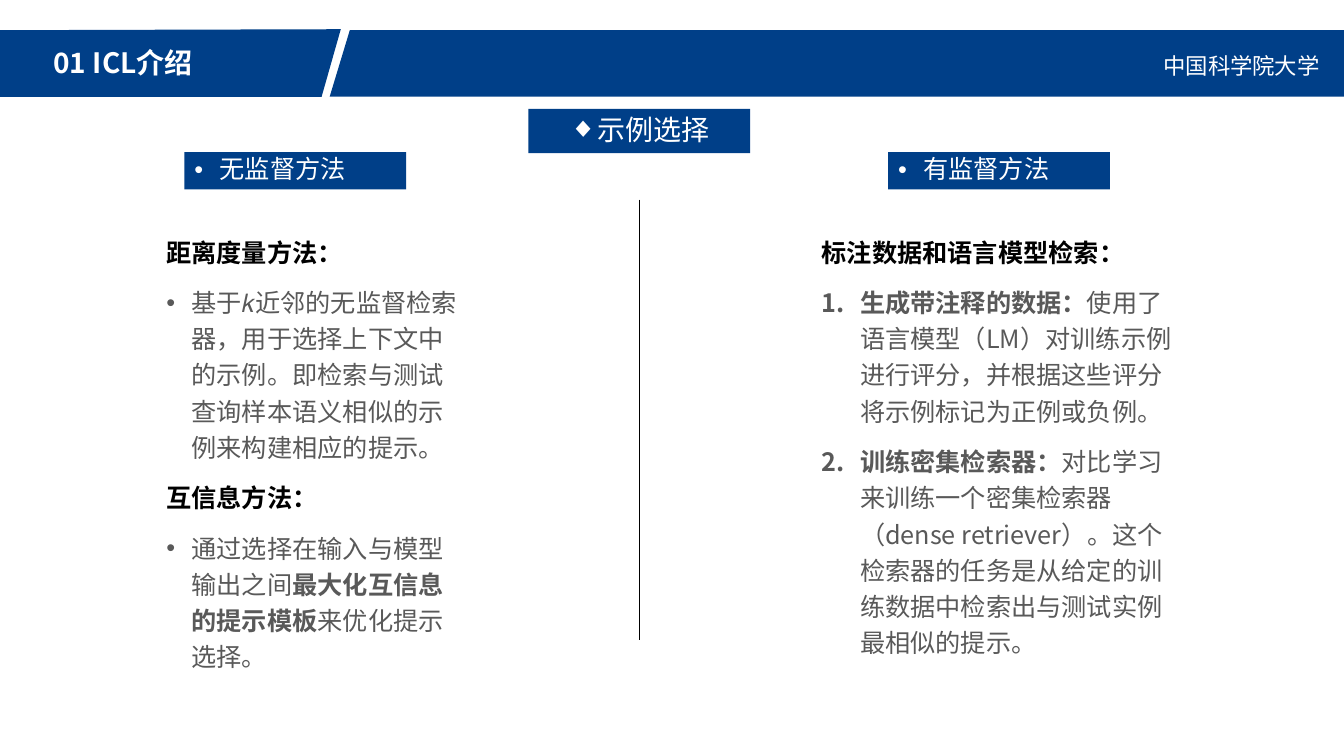
from lxml.etree import SubElement
from pptx import Presentation
from pptx.dml.color import RGBColor
from pptx.enum.shapes import MSO_CONNECTOR, MSO_SHAPE
from pptx.enum.text import MSO_ANCHOR, MSO_AUTO_SIZE, PP_ALIGN
from pptx.oxml.ns import qn
from pptx.util import Pt

PX = 9144  # one hundredth of an inch
FONT = "Noto Sans CJK SC"
BLUE, WHITE, BLACK, GREY = "003F88", "FFFFFF", "000000", "595959"


def color(value):
    return RGBColor.from_string(value)


def write(paragraph, runs, size, text_color, bullet=None, indent=0, line=1.0, before=0):
    """Fill a paragraph with (text, bold) runs; bullet "1." means numbering."""
    properties = paragraph._p.get_or_add_pPr()
    properties.set("marL", str(indent * PX))
    properties.set("indent", str(-indent * PX))
    paragraph.line_spacing = line
    paragraph.space_before = Pt(before)
    if bullet is None:
        SubElement(properties, qn("a:buNone"))
    elif bullet == "1.":
        SubElement(properties, qn("a:buAutoNum"), type="arabicPeriod")
    else:
        SubElement(properties, qn("a:buFont"), typeface="Arial")
        SubElement(properties, qn("a:buChar"), char=bullet)
    font = paragraph.font
    font.name, font.size = FONT, Pt(size)
    font.color.rgb = color(text_color)
    for text, bold in runs:
        run = paragraph.add_run()
        run.text = text
        run.font.bold = bold
        SubElement(run._r.get_or_add_rPr(), qn("a:ea"), typeface=FONT)


presentation = Presentation()
presentation.slide_width, presentation.slide_height = 1333 * PX, 750 * PX
slide = presentation.slides.add_slide(presentation.slide_layouts[3])
shapes = slide.shapes
title, left_body, right_body = slide.placeholders

# Header bands, behind the title
bands = [
    [(0, 30), (338, 29), (319, 96), (0, 96)],
    [(1333, 96), (327, 96), (347, 30), (1333, 30)],
]
for points in bands:
    builder = shapes.build_freeform(*points[0], scale=PX)
    builder.add_line_segments(points[1:], close=True)
    band = builder.convert_to_shape()
    band.fill.solid()
    band.fill.fore_color.rgb = color(BLUE)
    band.line.fill.background()
    band.shadow.inherit = False
    shapes.element.insert(2, band.element)

# Header texts
university = shapes.add_textbox(0, 0, PX, PX)
headers = [
    (title, (43, 40, 284, 44), "01 ICL介绍", 20, True),
    (university, (1144, 47, 188, 37), "中国科学院大学", 16, False),
]
for shape, box, text, size, bold in headers:
    shape.left, shape.top, shape.width, shape.height = [value * PX for value in box]
    frame = shape.text_frame
    frame.word_wrap = True
    frame.auto_size = MSO_AUTO_SIZE.NONE
    frame.vertical_anchor = MSO_ANCHOR.TOP
    paragraph = frame.paragraphs[0]
    paragraph.alignment = PP_ALIGN.LEFT
    write(paragraph, [(text, bold)], size, WHITE)

# Divider
divider = shapes.add_connector(MSO_CONNECTOR.STRAIGHT, 634 * PX, 198 * PX, 634 * PX, 635 * PX)
divider.line.color.rgb = color(BLACK)
divider.line.width = Pt(1)
SubElement(divider.element.spPr, qn("a:effectLst"))

# Section labels
labels = [
    (524, 108, 44, "◆", "示例选择", 20, PP_ALIGN.CENTER),
    (183, 151, 37, "•", "无监督方法", 18, PP_ALIGN.LEFT),
    (881, 151, 37, "•", "有监督方法", 18, PP_ALIGN.LEFT),
]
for left, top, height, bullet, text, size, alignment in labels:
    label = shapes.add_shape(MSO_SHAPE.RECTANGLE, left * PX, top * PX, 220 * PX, height * PX)
    label.fill.solid()
    label.fill.fore_color.rgb = color(BLUE)
    label.line.fill.background()
    label.shadow.inherit = False
    label.text_frame.vertical_anchor = MSO_ANCHOR.MIDDLE
    paragraph = label.text_frame.paragraphs[0]
    paragraph.alignment = alignment
    write(paragraph, [(text, False)], size, WHITE, bullet, 25, 0.9)

# Method columns: each paragraph is a bullet and its runs
unsupervised = [
    (None, [("距离度量方法：", True)]),
    ("•", [("基于𝑘近邻的无监督检索器，用于选择上下文中的示例。即检索与测试查询样本语义相似的示例来构建相应的提示。", False)]),
    (None, [("互信息方法：", True)]),
    ("•", [("通过选择在输入与模型输出之间", False), ("最大化互信息的提示模板", True), ("来优化提示选择。", False)]),
]
supervised = [
    (None, [("标注数据和语言模型检索：", True)]),
    ("1.", [("生成带注释的数据：", True),
            ("使用了语言模型（LM）对训练示例进行评分，并根据这些评分将示例标记为正例或负例。", False)]),
    ("1.", [("训练密集检索器：", True),
            ("对比学习来训练一个密集检索器（dense retriever）。这个检索器的任务是从给定的训练数据中检索出与测试实例最相似的提示。", False)]),
]
columns = [(left_body, 155, 318, 25, unsupervised), (right_body, 805, 372, 38, supervised)]
for body, left, width, indent, paragraphs in columns:
    body.left, body.top, body.width, body.height = left * PX, 224 * PX, width * PX, 421 * PX
    frame = body.text_frame
    frame.word_wrap = True
    frame.auto_size = MSO_AUTO_SIZE.NONE
    frame.vertical_anchor = MSO_ANCHOR.TOP
    for index, (bullet, runs) in enumerate(paragraphs):
        paragraph = frame.add_paragraph() if index else frame.paragraphs[0]
        write(paragraph, runs, 18, GREY if bullet else BLACK, bullet,
              indent if bullet else 0, 1.2, 10 if index else 0)

presentation.save("out.pptx")
